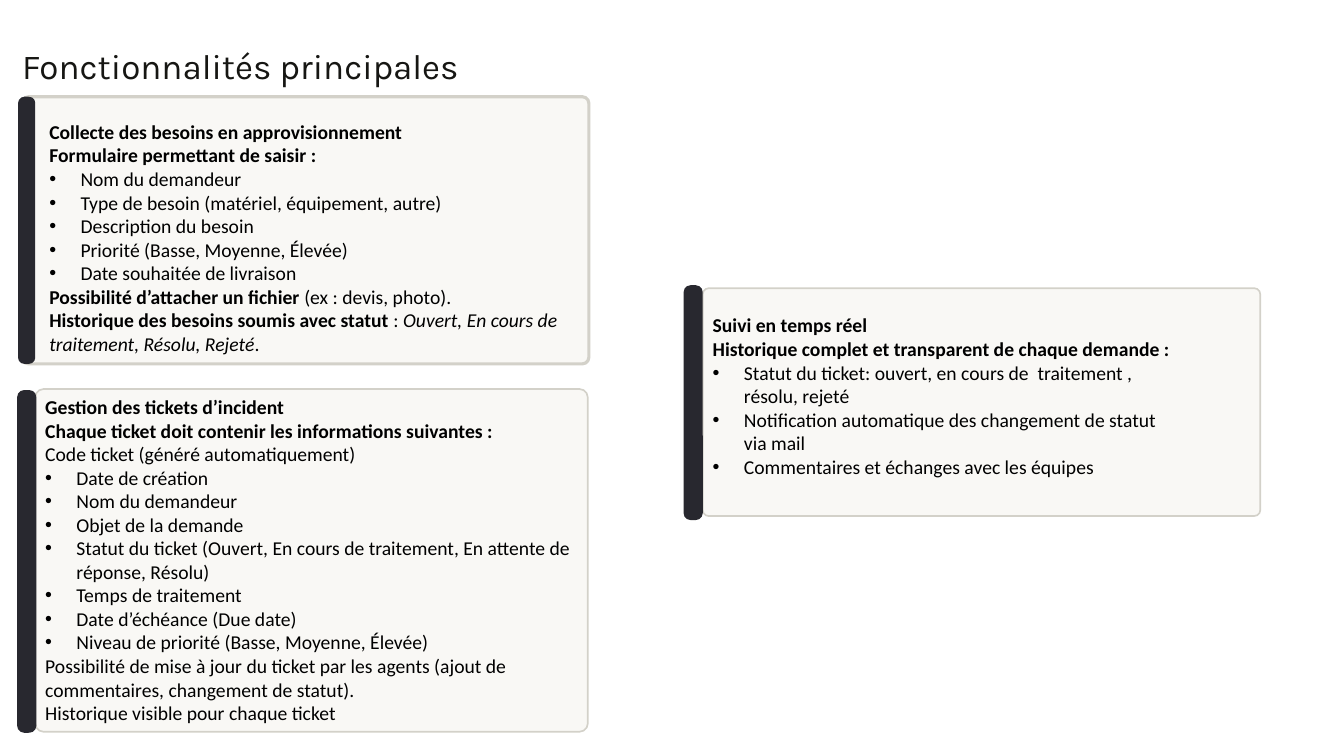
from dataclasses import dataclass

from lxml import etree
from pptx import Presentation
from pptx.dml.color import RGBColor
from pptx.enum.shapes import MSO_SHAPE
from pptx.enum.text import MSO_AUTO_SIZE
from pptx.oxml.ns import qn
from pptx.util import Inches, Pt

ROUND_RECT = MSO_SHAPE.ROUNDED_RECTANGLE
FIT_SHAPE = MSO_AUTO_SIZE.SHAPE_TO_FIT_TEXT
BULLET_INDENT = 0.31


@dataclass(frozen=True)
class Theme:
    title_font: str = "Karla"
    body_font: str = "Calibri"
    title_size: float = 25
    title_leading: float = 36.5
    body_size: float = 14
    title: str = "161613"
    body: str = "000000"
    card: str = "F9F8F5"
    border: str = "D3D1C9"
    accent: str = "28282F"


THEME = Theme()


def plain(text):
    return False, [(text, "")]


def bold(text):
    return False, [(text, "b")]


def bullet(text):
    return True, [(text, "")]


def mixed(*parts):
    return False, list(parts)


CARDS = [
    dict(
        panel=(0.22, 0.96, 5.62, 2.65), line_width=2.25, radius=0.024,
        bar=(0.18, 0.96, 0.17, 2.65),
        text=(0.39, 1.14, 5.41, 2.46),
        content=[
            bold("Collecte des besoins en approvisionnement"),
            bold("Formulaire permettant de saisir :"),
            bullet("Nom du demandeur"),
            bullet("Type de besoin (matériel, équipement, autre)"),
            bullet("Description du besoin"),
            bullet("Priorité (Basse, Moyenne, Élevée)"),
            bullet("Date souhaitée de livraison"),
            mixed(("Possibilité d’attacher un fichier ", "b"),
                  ("(ex : devis, photo).", "")),
            mixed(("Historique des besoins soumis avec statut ", "b"),
                  (": ", ""),
                  ("Ouvert, En cours de traitement, Résolu, Rejeté", "i"),
                  (".", "")),
        ],
    ),
    dict(
        panel=(0.35, 3.86, 5.48, 3.4), line_width=1.2, radius=0.024,
        bar=(0.17, 3.87, 0.19, 3.4),
        text=(0.35, 3.87, 5.57, 3.4),
        content=[
            bold("Gestion des tickets d’incident"),
            bold("Chaque ticket doit contenir les informations suivantes :"),
            plain("Code ticket (généré automatiquement)"),
            bullet("Date de création"),
            bullet("Nom du demandeur"),
            bullet("Objet de la demande"),
            bullet("Statut du ticket (Ouvert, En cours de traitement, "
                   "En attente de réponse, Résolu)"),
            bullet("Temps de traitement"),
            bullet("Date d’échéance (Due date)"),
            bullet("Niveau de priorité (Basse, Moyenne, Élevée)"),
            plain("Possibilité de mise à jour du ticket par les agents "
                  "(ajout de commentaires, changement de statut)."),
            plain("Historique visible pour chaque ticket"),
        ],
    ),
    dict(
        panel=(6.97, 2.86, 5.53, 2.26), line_width=1.2, radius=0.026,
        bar=(6.78, 2.83, 0.19, 2.33),
        text=(6.97, 3.06, 4.79, 1.75),
        content=[
            bold("Suivi en temps réel"),
            bold("Historique complet et transparent de chaque demande :"),
            bullet("Statut du ticket: ouvert, en cours de  traitement , "
                   "résolu, rejeté"),
            bullet("Notification automatique des changement de statut via mail"),
            bullet("Commentaires et échanges avec les équipes"),
        ],
    ),
]


def inches(box):
    return [Inches(v) for v in box]


def style_font(font, name, size, color):
    font.name = name
    font.size = Pt(size)
    font.color.rgb = RGBColor.from_string(color)


def add_round_rect(s, box, radius, fill, line_width=None):
    sp = s.shapes.add_shape(ROUND_RECT, *inches(box))
    sp.shadow.inherit = False
    sp.adjustments[0] = radius
    sp.fill.solid()
    sp.fill.fore_color.rgb = RGBColor.from_string(fill)
    if line_width:
        sp.line.color.rgb = RGBColor.from_string(THEME.border)
        sp.line.width = Pt(line_width)
    else:
        sp.line.fill.background()


def add_bullet(p):
    pPr = p._p.get_or_add_pPr()
    pPr.set("marL", str(Inches(BULLET_INDENT)))
    pPr.set("indent", str(-Inches(BULLET_INDENT)))
    etree.SubElement(pPr, qn("a:buFont"), typeface="Arial")
    etree.SubElement(pPr, qn("a:buChar"), char="•")


def add_body(s, box, content):
    tf = s.shapes.add_textbox(*inches(box)).text_frame
    tf.word_wrap = True
    tf.auto_size = FIT_SHAPE
    for i, (bulleted, parts) in enumerate(content):
        p = tf.add_paragraph() if i else tf.paragraphs[0]
        if bulleted:
            add_bullet(p)
        for text, style in parts:
            r = p.add_run()
            r.text = text
            style_font(r.font, THEME.body_font, THEME.body_size, THEME.body)
            r.font.bold = style == "b"
            r.font.italic = style == "i"


def add_title(s, text, box):
    tf = s.shapes.add_textbox(*inches(box)).text_frame
    tf.margin_left = tf.margin_top = tf.margin_right = tf.margin_bottom = 0
    tf.word_wrap = False
    tf.text = text
    p = tf.paragraphs[0]
    p.line_spacing = Pt(THEME.title_leading)
    style_font(p.runs[0].font, THEME.title_font, THEME.title_size, THEME.title)


def add_card(s, panel, line_width, radius, bar, text, content):
    add_round_rect(s, panel, radius, THEME.card, line_width)
    add_body(s, text, content)
    add_round_rect(s, bar, 0.365, THEME.accent)


def main():
    prs = Presentation()
    prs.slide_width = Inches(13.33)
    prs.slide_height = Inches(7.5)
    s = prs.slides.add_slide(prs.slide_layouts[6])
    add_title(s, "Fonctionnalités principales", (0.22, 0.35, 5.75, 0.51))
    for card in CARDS:
        add_card(s, **card)
    prs.save("out.pptx")


if __name__ == "__main__":
    main()
